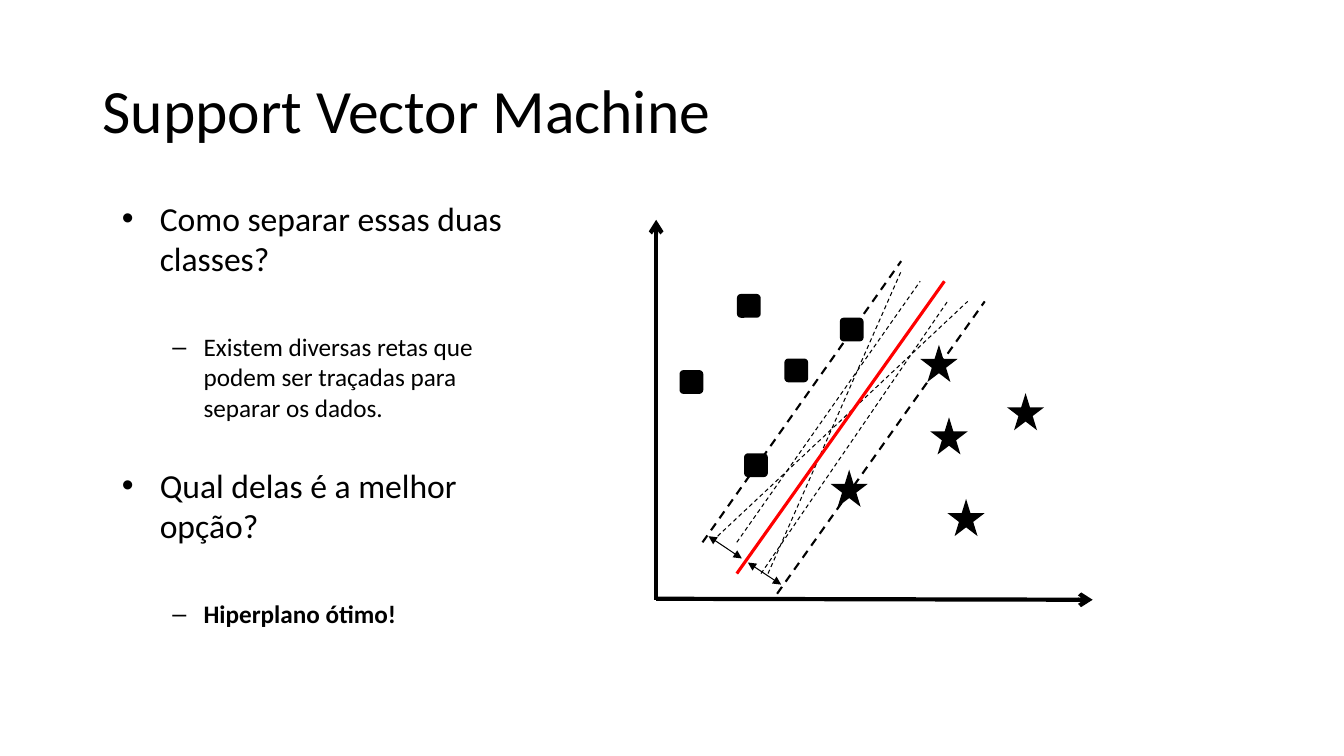
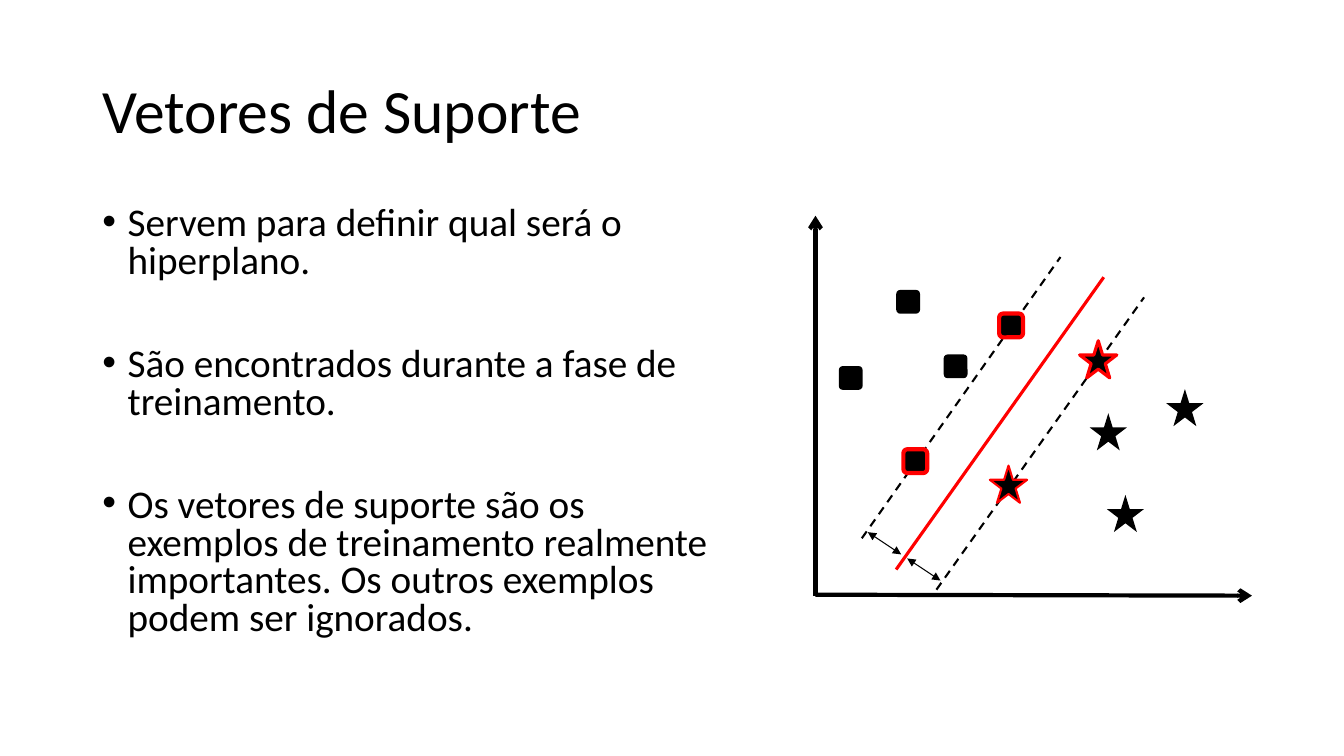
from dataclasses import dataclass

from pptx import Presentation
from pptx.dml.color import RGBColor
from pptx.enum.dml import MSO_LINE
from pptx.enum.shapes import MSO_CONNECTOR, MSO_SHAPE
from pptx.enum.text import MSO_ANCHOR, MSO_AUTO_SIZE, PP_ALIGN
from pptx.oxml.ns import qn
from pptx.util import Pt
from lxml.etree import SubElement


@dataclass(frozen=True)
class Theme:
    font: str = "Calibri"
    ink: RGBColor = RGBColor(0x00, 0x00, 0x00)
    accent: RGBColor = RGBColor(0xFF, 0x00, 0x00)
    paper: RGBColor = RGBColor(0xFF, 0xFF, 0xFF)
    title_size: float = 44
    list_size: float = 28
    question_size: float = 24
    answer_size: float = 18
    thin: float = 0.75
    medium: float = 1.5
    strong: float = 2.25
    heavy: float = 3


@dataclass(frozen=True)
class ListStyle:
    level: int
    bullet: str
    size: float
    margin: float
    hanging: float
    gap: float
    line_spacing: float = 1.0
    bold: bool = False


THEME = Theme()
QUESTION = ListStyle(0, "•", THEME.question_size, 27, 27, 30.4)
ANSWER = ListStyle(1, "–", THEME.answer_size, 58.3, 22.3, 38)
KEY_ANSWER = ListStyle(1, "–", THEME.answer_size, 58.3, 22.3, 38, bold=True)
POINT = ListStyle(0, "•", THEME.list_size, 18, 18, 46.8, line_spacing=0.8)

# Plot coordinates: points to the right of and above the origin of the axes.
CANDIDATES = [
    ((43.9, 45.4), (222.5, 213.1)),
    ((79.9, 18.7), (175, 234.7)),
    ((57.6, 41), (188.6, 227.5)),
    ((74.9, 18.7), (208.1, 213.1)),
]
MARGINS = [((33.1, 41), (175, 241.9)), ((86.4, 4.3), (234.7, 213.1))]
HYPERPLANE = ((57.6, 18.7), (205.9, 227.5))
MARGIN_WIDTHS = [((61.2, 29.5), (37.4, 45.4)), ((89.3, 10.8), (65.5, 26.6))]
AXES = [((0, 0), (0, 271.4)), ((0, 0.7), (311.8, 0))]
SQUARE_SIDE, STAR_SIDE = 17, 26.6
# Each marker: centre, and the outline width it gets as a support vector.
SQUARES = [
    ((25.2, 155.5), 0),
    ((71.3, 96.1), THEME.heavy),
    ((139.7, 193), THEME.heavy),
    ((66.2, 209.9), 0),
    ((100.1, 163.8), 0),
]
STARS = [
    ((137.9, 79.6), THEME.medium),
    ((209.2, 117), 0),
    ((221.4, 58.7), 0),
    ((202, 168.8), THEME.strong),
    ((263.9, 134.3), 0),
]


class SlideBuilder:
    def __init__(self, deck, theme):
        self.deck = deck
        self.theme = theme
        self.slide = None
        self.shapes = None
        self.origin = (0, 0)

    def new_slide(self, title):
        self.slide = self.deck.slides.add_slide(self.deck.slide_layouts[1])
        background = self.slide.background.fill
        background.solid()
        background.fore_color.rgb = self.theme.paper
        frame = self.place(self.slide.shapes.title, 66, 28.8, 828, 104.4)
        frame.vertical_anchor = MSO_ANCHOR.MIDDLE
        para = frame.paragraphs[0]
        para.alignment = PP_ALIGN.LEFT
        para.line_spacing = 0.9
        self.span(para, title, self.theme.title_size)

    def place(self, box, left, top, width, height):
        box.left, box.top = Pt(left), Pt(top)
        box.width, box.height = Pt(width), Pt(height)
        frame = box.text_frame
        frame.word_wrap = True
        frame.auto_size = MSO_AUTO_SIZE.NONE
        return frame

    def span(self, para, text, size, bold=False):
        span = para.add_run()
        span.text = text
        span.font.name = self.theme.font
        span.font.size = Pt(size)
        span.font.bold = bold
        span.font.color.rgb = self.theme.ink

    def bullets(self, items, left, top, width, height):
        frame = self.place(self.slide.placeholders[1], left, top, width, height)
        frame.vertical_anchor = MSO_ANCHOR.TOP
        for index, (style, text) in enumerate(items):
            para = frame.add_paragraph() if index else frame.paragraphs[0]
            para.level = style.level
            properties = para._p.get_or_add_pPr()
            properties.set("marL", str(Pt(style.margin)))
            properties.set("indent", str(-Pt(style.hanging)))
            SubElement(properties, qn("a:buFont"), typeface="Arial")
            SubElement(properties, qn("a:buChar"), char=style.bullet)
            para.alignment = PP_ALIGN.LEFT
            para.line_spacing = style.line_spacing
            para.space_before = Pt(style.gap if index else 0)
            self.span(para, text, style.size, style.bold)

    def start_plot(self, left, bottom):
        """Begin a group whose plot coordinates start at this page position."""
        self.origin = (left, bottom)
        self.shapes = self.slide.shapes.add_group_shape().shapes

    def locate(self, point):
        """Turn a plot coordinate into a page position."""
        return Pt(self.origin[0] + point[0]), Pt(self.origin[1] - point[1])

    def line(self, ends, width, color=None, dashed=False, head=None, tail=None):
        start, end = ends
        line = self.shapes.add_connector(
            MSO_CONNECTOR.STRAIGHT, *self.locate(start), *self.locate(end))
        line.line.color.rgb = color or self.theme.ink
        line.line.width = Pt(width)
        if dashed:
            line.line.dash_style = MSO_LINE.DASH
        outline = line.line._get_or_add_ln()
        for tag, kind in (("a:headEnd", head), ("a:tailEnd", tail)):
            if kind:
                SubElement(outline, qn(tag), type=kind)
        SubElement(line._element.spPr, qn("a:effectLst"))

    def marker(self, kind, center, side, outline):
        x, y = center
        left, top = self.locate((x - side / 2, y + side / 2))
        marker = self.shapes.add_shape(kind, left, top, Pt(side), Pt(side))
        marker.shadow.inherit = False
        marker.fill.solid()
        marker.fill.fore_color.rgb = self.theme.ink
        if outline:
            marker.line.color.rgb = self.theme.accent
            marker.line.width = Pt(outline)
        else:
            marker.line.fill.background()

    def svm_plot(self, left, bottom, candidates=(), show_support=False):
        theme = self.theme
        self.start_plot(left, bottom)
        for ends in candidates:
            self.line(ends, theme.thin, dashed=True)
        for ends in MARGINS:
            self.line(ends, theme.medium, dashed=True)
        for kind, side, markers in (
            (MSO_SHAPE.ROUNDED_RECTANGLE, SQUARE_SIDE, SQUARES),
            (MSO_SHAPE.STAR_5_POINT, STAR_SIDE, STARS),
        ):
            for center, outline in markers:
                self.marker(kind, center, side, outline if show_support else 0)
        self.line(HYPERPLANE, theme.strong, theme.accent)
        for ends in MARGIN_WIDTHS:
            self.line(ends, theme.thin, head="triangle", tail="triangle")
        for ends in AXES:
            self.line(ends, theme.heavy, tail="arrow")


def main():
    deck = Presentation()
    deck.slide_width, deck.slide_height = Pt(960), Pt(540)
    page = SlideBuilder(deck, THEME)

    page.new_slide("Support Vector Machine")
    page.svm_plot(468.7, 428.4, candidates=CANDIDATES)
    page.bullets([
        (QUESTION, "Como separar essas duas classes?"),
        (ANSWER, "Existem diversas retas que podem ser traçadas para separar os dados."),
        (QUESTION, "Qual delas é a melhor opção?"),
        (KEY_ANSWER, "Hiperplano ótimo!"),
    ], 79.9, 137.5, 306, 323.3)

    page.new_slide("Vetores de Suporte")
    page.bullets([
        (POINT, "Servem para definir qual será o hiperplano."),
        (POINT, "São encontrados durante a fase de treinamento."),
        (POINT, "Os vetores de suporte são os exemplos de treinamento realmente "
                "importantes. Os outros exemplos podem ser ignorados."),
    ], 66, 144, 465, 342.7)
    page.svm_plot(582.5, 425.5, show_support=True)

    deck.save("out.pptx")


if __name__ == "__main__":
    main()
